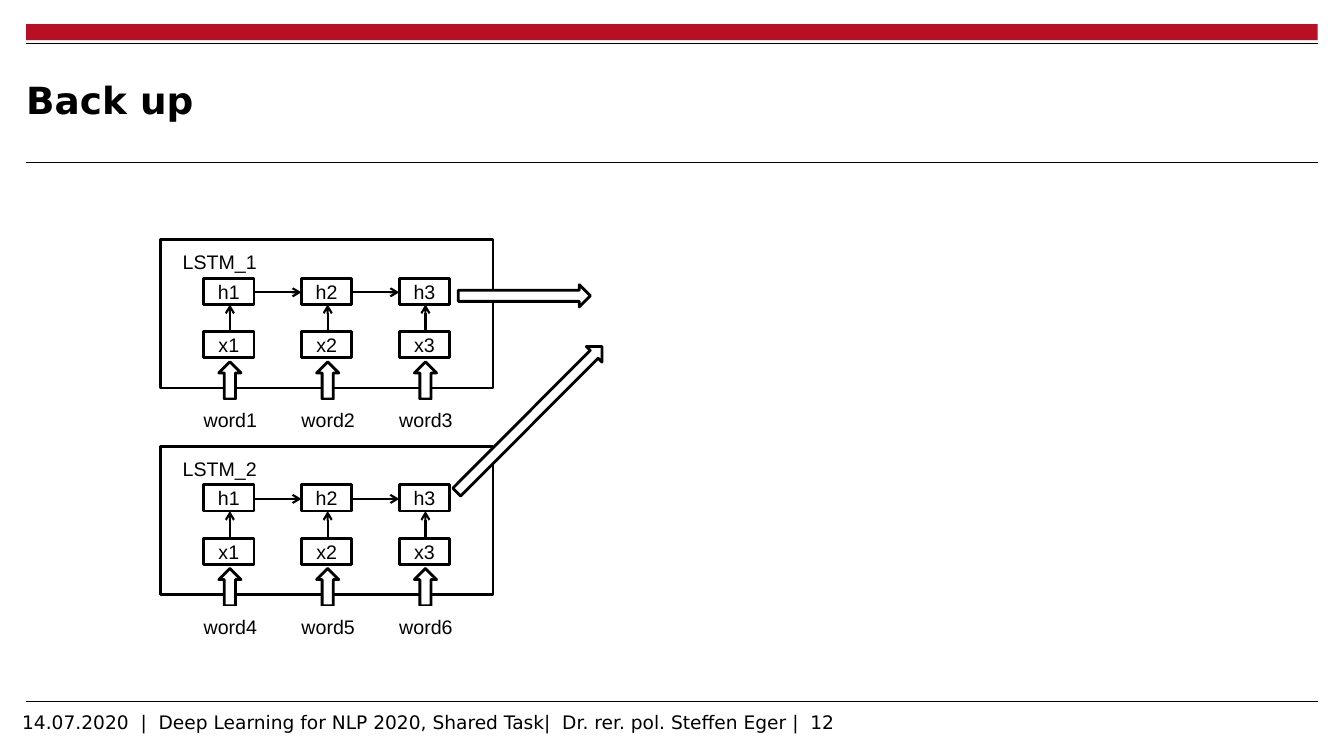
import pptx
import pptx.util
import pptx.dml.color
import pptx.enum.shapes
import pptx.enum.text
import lxml.etree
import pptx.oxml.ns

Inches = pptx.util.Inches
Pt = pptx.util.Pt
Shape = pptx.enum.shapes.MSO_SHAPE
Align = pptx.enum.text.PP_ALIGN
Anchor = pptx.enum.text.MSO_ANCHOR
qn = pptx.oxml.ns.qn

COLORS = {"ink": "000000", "paper": "FFFFFF", "band": "B90F22"}


def color(name):
    return pptx.dml.color.RGBColor.from_string(COLORS[name])


class SlideBuilder:
    heading_font = "DejaVu Sans"
    diagram_font = "Arial"

    def __init__(self, deck):
        self.page = deck.slides.add_slide(deck.slide_layouts[5])
        self.shapes = self.page.shapes

    def start_group(self):
        self.shapes = self.page.shapes.add_group_shape().shapes

    def end_group(self):
        self.shapes = self.page.shapes

    def set_text(self, shape, text, size, font, align, bold=False):
        frame = shape.text_frame
        frame.text = text
        frame.word_wrap = True
        frame.vertical_anchor = Anchor.MIDDLE
        frame.margin_left = frame.margin_right = 0
        frame.margin_top = frame.margin_bottom = 0
        para = frame.paragraphs[0]
        para.alignment = align
        para.font.size = Pt(size)
        para.font.name = font
        para.font.bold = bold
        para.font.color.rgb = color("ink")

    def title(self, text, left, top, width, height):
        title = self.page.shapes.title
        title.left, title.top = Inches(left), Inches(top)
        title.width, title.height = Inches(width), Inches(height)
        self.set_text(title, text, 26.7, self.heading_font, Align.LEFT, True)

    def footer(self, text, left, top, width, height):
        box = self.shapes.add_textbox(Inches(left), Inches(top), Inches(width), Inches(height))
        self.set_text(box, text, 13.3, self.heading_font, Align.LEFT)

    def shape(self, kind, left, top, width, height, fill="paper", line="ink", turn=0):
        shape = self.shapes.add_shape(kind, Inches(left), Inches(top), Inches(width), Inches(height))
        shape.shadow.inherit = False
        shape.fill.solid()
        shape.fill.fore_color.rgb = color(fill)
        if line:
            shape.line.color.rgb = color(line)
            shape.line.width = Pt(2)
        else:
            shape.line.fill.background()
        shape.rotation = turn
        return shape

    def label(self, text, left, top, width, height, line="ink"):
        box = self.shape(Shape.RECTANGLE, left, top, width, height, line=line)
        self.set_text(box, text, 14, self.diagram_font, Align.CENTER)

    def line(self, left, top, right, bottom, width, arrow=False):
        line = self.shapes.add_connector(
            pptx.enum.shapes.MSO_CONNECTOR.STRAIGHT,
            Inches(left), Inches(top), Inches(right), Inches(bottom))
        line.line.color.rgb = color("ink")
        line.line.width = Pt(width)
        if arrow:
            outline = line._element.spPr.find(qn("a:ln"))
            lxml.etree.SubElement(outline, qn("a:tailEnd"), type="arrow")
        lxml.etree.SubElement(line._element.spPr, qn("a:effectLst"))

    def lstm(self, name, top, words):
        self.start_group()
        self.shape(Shape.RECTANGLE, 1.59, top, 3.3, 1.47)
        self.label(name, 1.67, top + 0.12, 1.02, 0.2, line="paper")
        step = 0.97
        for index, word in enumerate(words):
            left = 2.02 + index * step
            center = left + 0.26
            number = index + 1
            self.label(f"h{number}", left, top + 0.38, 0.5, 0.26)
            self.label(f"x{number}", left, top + 0.91, 0.5, 0.26)
            self.line(center, top + 0.9, center, top + 0.64, 1.5, arrow=True)
            if index:
                self.line(left - step + 0.5, top + 0.52, left, top + 0.52, 1.5, arrow=True)
            self.shape(Shape.UP_ARROW, center - 0.11, top + 1.21, 0.22, 0.37)
            self.label(word, center - 0.41, top + 1.6, 0.83, 0.37, line="paper")
        self.end_group()


deck = pptx.Presentation()
deck.slide_width = Inches(13.33)
deck.slide_height = Inches(7.5)

slide = SlideBuilder(deck)
slide.shape(Shape.RECTANGLE, 0.26, 0.24, 12.81, 0.16, fill="band", line=None)
for height, width in [(0.43, 1.2), (1.61, 0.6), (6.96, 0.6)]:
    slide.line(0.26, height, 13.07, height, width)
slide.title("Back up", 0.26, 0.53, 9.95, 0.92)
slide.footer(
    "14.07.2020  |  Deep Learning for NLP 2020, Shared Task|  Dr. rer. pol. Steffen Eger |  12",
    0.22, 7.04, 10.84, 0.25)

slide.lstm("LSTM_2", 4.43, ["word4", "word5", "word6"])
slide.lstm("LSTM_1", 2.38, ["word1", "word2", "word3"])
slide.shape(Shape.UP_ARROW, 5.09, 2.28, 0.22, 1.31, turn=90)
slide.shape(Shape.UP_ARROW, 5.14, 3.14, 0.22, 2.04, turn=44.9)

deck.save("out.pptx")
